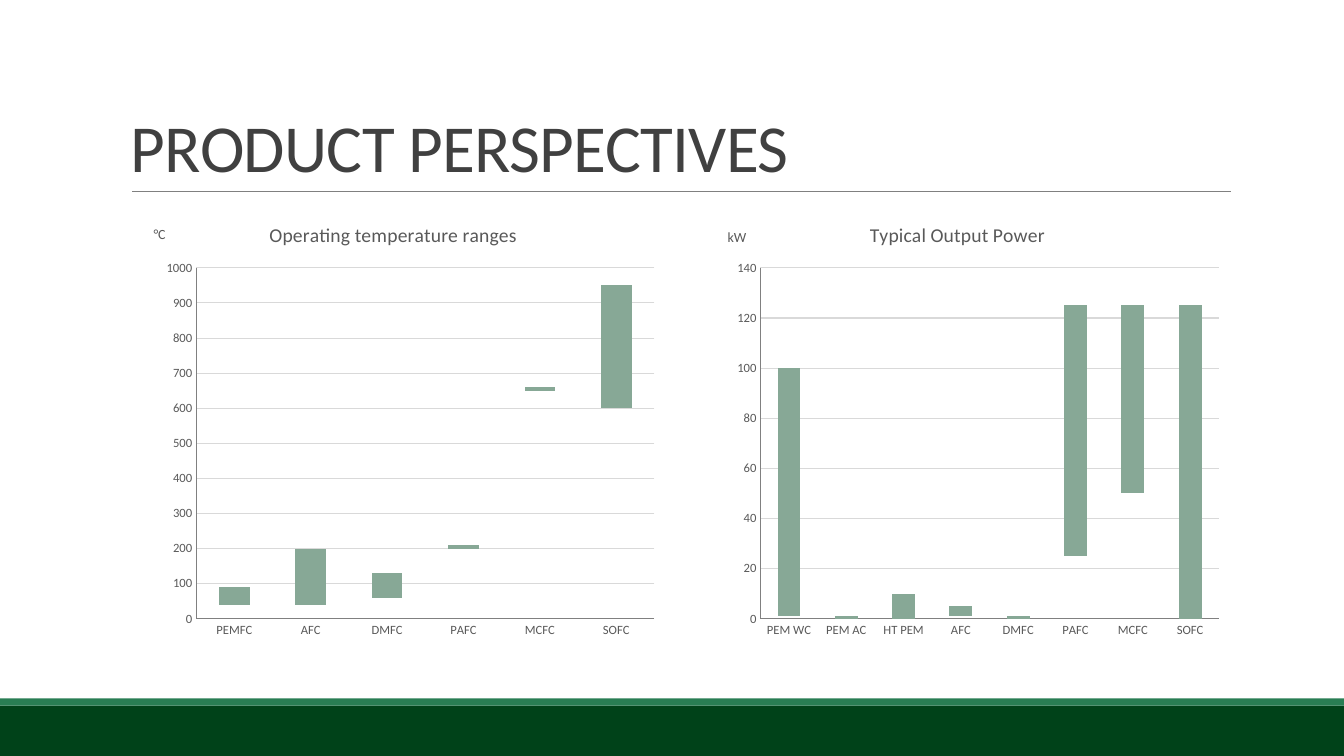
from lxml.etree import SubElement
from pptx import Presentation
from pptx.chart.data import CategoryChartData
from pptx.dml.color import RGBColor
from pptx.enum.chart import XL_CHART_TYPE as ChartType, XL_TICK_MARK as TickMark
from pptx.enum.shapes import MSO_CONNECTOR as Connector, MSO_SHAPE as Shape
from pptx.enum.text import MSO_ANCHOR as Anchor
from pptx.oxml.ns import qn
from pptx.util import Cm, Pt

DARK_GREEN = RGBColor(0x00, 0x42, 0x19)
MID_GREEN = RGBColor(0x29, 0x7D, 0x53)
BAR_GREEN = RGBColor(0x87, 0xA8, 0x96)
TITLE_GREY = RGBColor(0x40, 0x40, 0x40)
TEXT_GREY = RGBColor(0x59, 0x59, 0x59)
LINE_GREY = RGBColor(0x80, 0x80, 0x80)
GRID_GREY = RGBColor(0xD9, 0xD9, 0xD9)
FONT = "Calibri"


def set_layout(parent, index, **settings):
    """Place a chart part by hand, in fractions of the chart."""
    for old in parent.findall(qn("c:layout")):
        parent.remove(old)
    layout = SubElement(parent, qn("c:layout"))
    manual = SubElement(layout, qn("c:manualLayout"))
    for tag, value in settings.items():
        SubElement(manual, qn(f"c:{tag}")).set("val", str(value))
    parent.insert(index, layout)


def add_heading(text_frame, text, size, color):
    run = text_frame.paragraphs[0].add_run()
    run.text = text
    run.font.name = FONT
    run.font.size = Pt(size)
    run.font.bold = False
    run.font.color.rgb = color
    return run


prs = Presentation()
prs.slide_width, prs.slide_height = Cm(33.87), Cm(19.05)
slide = prs.slides.add_slide(prs.slide_layouts[6])

# Footer bands
for top, height, color in [(17.78, 1.27, DARK_GREEN), (17.6, 0.18, MID_GREEN)]:
    band = slide.shapes.add_shape(Shape.RECTANGLE, 0, Cm(top), prs.slide_width, Cm(height))
    band.shadow.inherit = False
    band.fill.solid()
    band.fill.fore_color.rgb = color
    band.line.fill.background()

# Title and rule below it
rule = slide.shapes.add_connector(Connector.STRAIGHT, Cm(3.33), Cm(4.83), Cm(31.01), Cm(4.83))
rule.line.color.rgb = LINE_GREY
rule.line.width = Pt(0.5)
SubElement(rule._element.spPr, qn("a:effectLst"))

title = slide.shapes.add_textbox(Cm(3.05), Cm(0.79), Cm(27.94), Cm(4.04)).text_frame
title.word_wrap = True
title.vertical_anchor = Anchor.BOTTOM
title.paragraphs[0].line_spacing = 0.85
title_run = add_heading(title, "PRODUCT PERSPECTIVES", 48, TITLE_GREY)
title_run.font._element.set("spc", "-50")

# Range charts: left, heading, unit, unit position, axis maximum, step, (category, low, span)
range_charts = [
    (3.05, "Operating temperature ranges", "°C", (0.055, 0.043), 1000, 100,
     [("PEMFC", 40, 50), ("AFC", 40, 160), ("DMFC", 60, 70),
      ("PAFC", 200, 10), ("MCFC", 650, 10), ("SOFC", 600, 350)]),
    (17.27, "Typical Output Power", "kW", (0.073, 0.05), 140, 20,
     [("PEM WC", 1, 99), ("PEM AC", 0, 1), ("HT PEM", 0, 10), ("AFC", 1, 4),
      ("DMFC", 0, 1), ("PAFC", 25, 100), ("MCFC", 50, 75), ("SOFC", 0, 125)]),
]
for left, heading, unit, (unit_x, unit_y), maximum, step, ranges in range_charts:
    cell_types, lows, spans = zip(*ranges)
    data = CategoryChartData()
    data.categories = cell_types
    data.add_series("Series 1", lows)
    data.add_series("Series 2", spans)
    chart = slide.shapes.add_chart(
        ChartType.COLUMN_STACKED, Cm(left), Cm(5.13), Cm(13.72), Cm(11.18), data).chart
    chart.has_legend = False
    chart.font.name = FONT
    chart.font.size = Pt(10)
    chart.has_title = True
    add_heading(chart.chart_title.text_frame, heading, 14, TEXT_GREY)
    chart.chart_title.include_in_layout = False
    set_layout(chart._chartSpace.chart.plotArea, 0, layoutTarget="inner",
               xMode="edge", yMode="edge", x=0.138, y=0.145, w=0.842, h=0.791)

    # Invisible base carries the visible span
    plot = chart.plots[0]
    plot.vary_by_categories = False
    plot.gap_width, plot.overlap = 150, 100
    base, span = plot.series
    base.format.fill.background()
    base.format.line.fill.background()
    span.format.fill.solid()
    span.format.fill.fore_color.rgb = BAR_GREEN

    # Axes
    for axis in (chart.category_axis, chart.value_axis):
        axis.major_tick_mark = axis.minor_tick_mark = TickMark.NONE
        axis.tick_labels.font.name = FONT
        axis.tick_labels.font.size = Pt(9)
        axis.tick_labels.font.color.rgb = TEXT_GREY
        axis.format.line.color.rgb = LINE_GREY
        axis.format.line.width = Pt(0.75)
    scale = chart.value_axis
    scale.minimum_scale, scale.maximum_scale, scale.major_unit = 0, maximum, step
    scale.major_gridlines.format.line.color.rgb = GRID_GREY
    scale.major_gridlines.format.line.width = Pt(0.75)

    # Unit, upright above the value axis
    add_heading(scale.axis_title.text_frame, unit, 10, TEXT_GREY)
    unit_title = scale.axis_title._element
    unit_body = next(unit_title.iter(qn("a:bodyPr")))
    unit_body.set("rot", "0")
    unit_body.set("vert", "horz")
    set_layout(unit_title, 1, xMode="edge", yMode="edge", x=unit_x, y=unit_y)

prs.save("out.pptx")
